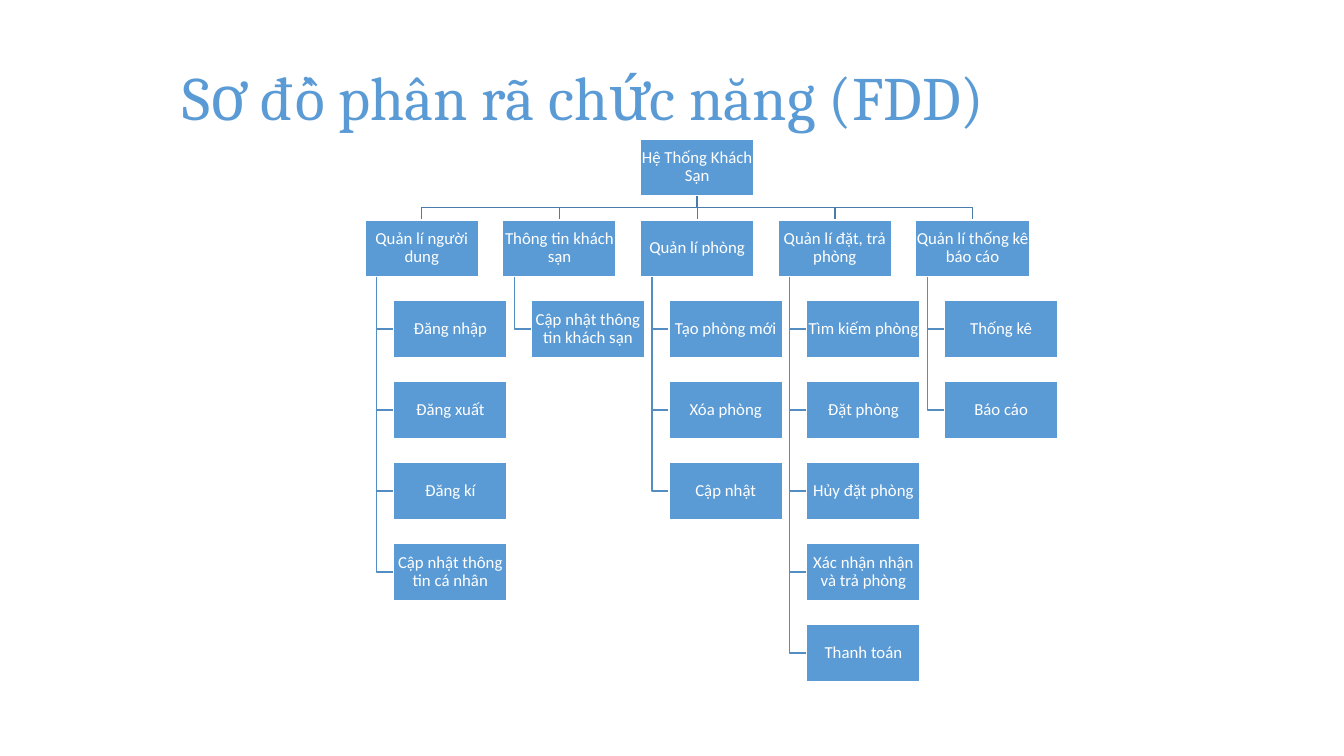
from lxml.etree import SubElement
from pptx import Presentation
from pptx.dml.color import RGBColor
from pptx.enum.shapes import MSO_CONNECTOR, MSO_SHAPE
from pptx.enum.text import MSO_ANCHOR, PP_ALIGN
from pptx.oxml.ns import qn
from pptx.util import Cm, Pt

COLORS = {"blue": "5B9BD5", "trunk": "497CAB", "branch": "538DC1", "white": "FFFFFF"}
FUNCTIONS = [
    ("Quản lí người dung", ["Đăng nhập", "Đăng xuất", "Đăng kí", "Cập nhật thông tin cá nhân"]),
    ("Thông tin khách sạn", ["Cập nhật thông tin khách sạn"]),
    ("Quản lí phòng", ["Tạo phòng mới", "Xóa phòng", "Cập nhật"]),
    ("Quản lí đặt, trả phòng", ["Tìm kiếm phòng", "Đặt phòng", "Hủy đặt phòng",
                                "Xác nhận nhận và trả phòng", "Thanh toán"]),
    ("Quản lí thống kê báo cáo", ["Thống kê", "Báo cáo"]),
]
LEFT, TOP = 9.2, 3.5
BOX_W, BOX_H = 2.86, 1.43
COL_STEP, ROW_STEP = 3.47, 2.04
INDENT, SPINE = 0.72, 0.29

prs = Presentation()
prs.slide_width, prs.slide_height = Cm(33.87), Cm(19.05)
s = prs.slides.add_slide(prs.slide_layouts[6])


def add_line(points, color):
    pts = [(Cm(x), Cm(y)) for x, y in points]
    if pts[0][0] == pts[-1][0]:
        sp = s.shapes.add_connector(MSO_CONNECTOR.STRAIGHT, *pts[0], *pts[-1])
        SubElement(sp._element.spPr, qn("a:effectLst"))
    else:
        fb = s.shapes.build_freeform(*pts[0])
        fb.add_line_segments(pts[1:], close=False)
        sp = fb.convert_to_shape()
        sp.fill.background()
        sp.shadow.inherit = False
    sp.line.color.rgb = RGBColor.from_string(COLORS[color])
    sp.line.width = Pt(1)


def add_box(x, y, text):
    sp = s.shapes.add_shape(MSO_SHAPE.RECTANGLE, Cm(x), Cm(y), Cm(BOX_W), Cm(BOX_H))
    sp.shadow.inherit = False
    sp.fill.solid()
    sp.fill.fore_color.rgb = RGBColor.from_string(COLORS["blue"])
    sp.line.color.rgb = RGBColor.from_string(COLORS["white"])
    sp.line.width = Pt(1)
    tf = sp.text_frame
    tf.word_wrap = True
    tf.vertical_anchor = MSO_ANCHOR.MIDDLE
    tf.margin_left = tf.margin_right = tf.margin_top = tf.margin_bottom = Cm(0.02)
    p = tf.paragraphs[0]
    p.text = text
    p.alignment = PP_ALIGN.CENTER
    p.line_spacing = 0.9
    f = p.runs[0].font
    f.name, f.size = "Calibri", Pt(12)
    f.color.rgb = RGBColor.from_string(COLORS["white"])


rows = [TOP + i * ROW_STEP for i in range(7)]
cols = [LEFT + i * COL_STEP for i in range(len(FUNCTIONS))]
root_x = cols[2]
root_mid = root_x + BOX_W / 2
root_bottom = TOP + BOX_H
bend = (root_bottom + rows[1]) / 2

for x, (group, tasks) in zip(cols, FUNCTIONS):
    mid = x + BOX_W / 2
    add_line([(root_mid, root_bottom), (root_mid, bend), (mid, bend), (mid, rows[1])], "trunk")
    for y, task in zip(rows[2:], tasks):
        task_mid = y + BOX_H / 2
        add_line([(x + SPINE, rows[1] + BOX_H), (x + SPINE, task_mid),
                  (x + INDENT, task_mid)], "branch")

add_box(root_x, TOP, "Hệ Thống Khách Sạn")
for x, (group, tasks) in zip(cols, FUNCTIONS):
    add_box(x, rows[1], group)
    for y, task in zip(rows[2:], tasks):
        add_box(x + INDENT, y, task)

title = s.shapes.add_textbox(Cm(4.34), Cm(0.58), Cm(25.1), Cm(3.68))
tf = title.text_frame
tf.word_wrap = True
tf.vertical_anchor = MSO_ANCHOR.MIDDLE
tf.text = "Sơ đồ phân rã chức năng (FDD)"
r = tf.paragraphs[0].runs[0]
r.font.name, r.font.size = "Cambria", Pt(44)
r.font.color.rgb = RGBColor.from_string(COLORS["blue"])

prs.save("out.pptx")
